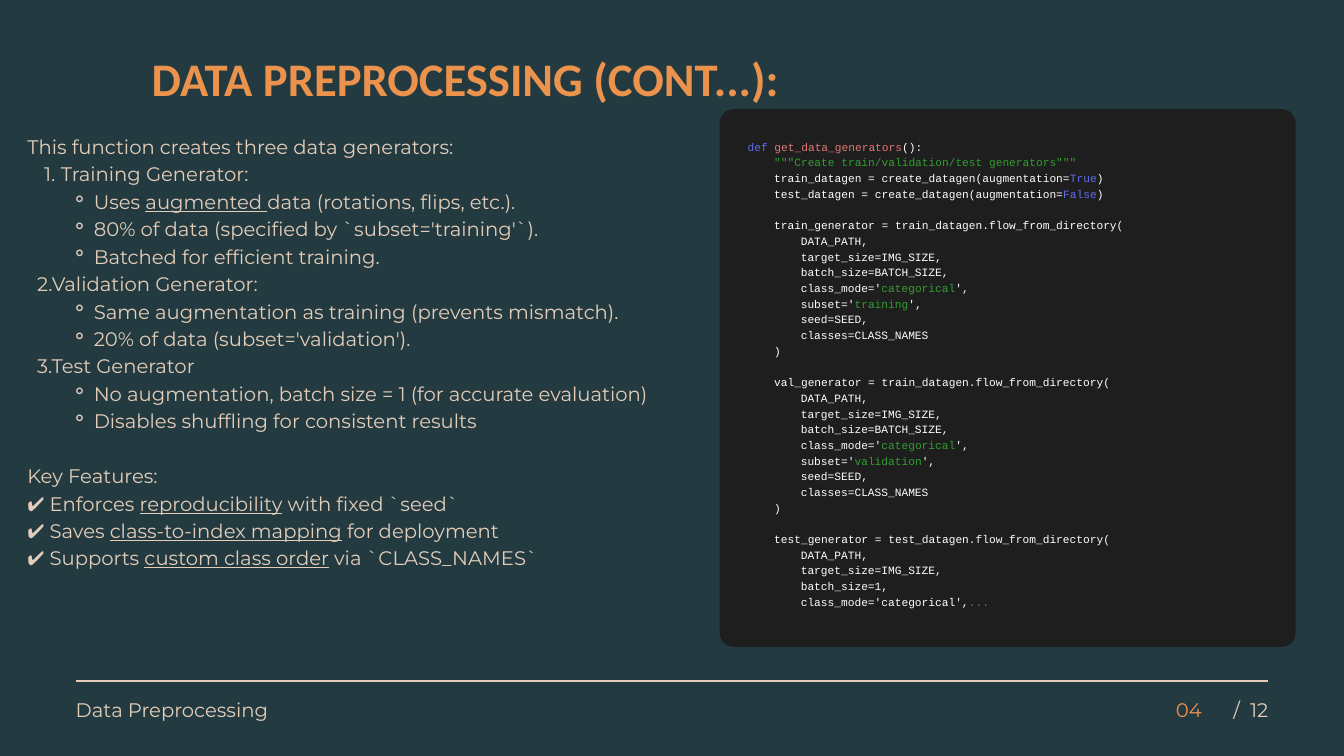
import pptx
import pptx.util
import pptx.dml.color
import pptx.enum.shapes
import pptx.enum.text
import pptx.oxml.ns
import lxml.etree

PX = 9525  # EMU per px, 1920 x 1080 px page
COLORS = {
    "background": "243A41", "panel": "1E1E1E", "sand": "E2CDB8",
    "orange": "EB924D", "white": "FFFFFF", "blue": "5F6DF0",
    "red": "E27676", "green": "329E30", "grey": "7E6B6B",
}
ALIGN = pptx.enum.text.PP_ALIGN


def rgb(name):
    return pptx.dml.color.RGBColor.from_string(COLORS[name])


def write(box, place, lines, font, size, color, leading, align=ALIGN.LEFT, bold=False):
    """Each line is (spans, margin px, hang px, bullet, space before); a span is (text, style)."""
    box.left, box.top, box.width, box.height = (n * PX for n in place)
    frame = box.text_frame
    frame.word_wrap = True
    frame.auto_size = pptx.enum.text.MSO_AUTO_SIZE.NONE
    frame.vertical_anchor = pptx.enum.text.MSO_ANCHOR.TOP
    frame.margin_left = frame.margin_top = frame.margin_right = frame.margin_bottom = 0
    for index, (spans, margin, hang, bullet, gap) in enumerate(lines):
        para = frame.add_paragraph() if index else frame.paragraphs[0]
        para.alignment = align
        para.line_spacing = pptx.util.Pt(leading)
        para.space_before = pptx.util.Pt(gap)
        para.font.name, para.font.size, para.font.bold = font, pptx.util.Pt(size), bold
        para.font.color.rgb = rgb(color)
        properties = para._p.get_or_add_pPr()
        properties.set("marL", str(margin * PX))
        properties.set("indent", str(-hang * PX))
        if bullet:
            tag, key = ("buAutoNum", "type") if bullet == "arabicPeriod" else ("buChar", "char")
            mark = lxml.etree.Element(pptx.oxml.ns.qn("a:" + tag))
            mark.set(key, bullet)
            properties.find(pptx.oxml.ns.qn("a:defRPr")).addprevious(mark)
        for text, style in spans:
            span = para.add_run()
            span.text = text
            if style == "underline":
                span.font.underline = True
            elif style:
                span.font.color.rgb = rgb(style)


deck = pptx.Presentation()
deck.slide_width, deck.slide_height = 1920 * PX, 1080 * PX
page = deck.slides.add_slide(deck.slide_layouts[5])
page.background.fill.solid()
page.background.fill.fore_color.rgb = rgb("background")

# Title
write(page.shapes.title, (81, 58, 1168, 90),
      [([("DATA PREPROCESSING (CONT...):", None)], 0, 0, None, 0)],
      "Calibri", 50, "orange", 70, ALIGN.CENTER, True)

# Footer rule and texts
rule = page.shapes.add_connector(
    pptx.enum.shapes.MSO_CONNECTOR.STRAIGHT, 108 * PX, 973 * PX, 1812 * PX, 973 * PX)
rule.line.color.rgb = rgb("sand")
rule.line.width = pptx.util.Pt(1.5)
lxml.etree.SubElement(rule._element.spPr, pptx.oxml.ns.qn("a:effectLst"))

for text, left, width, color, align in [
    ("Data Preprocessing", 108, 397, "sand", ALIGN.LEFT),
    ("/  12", 1718, 94, "sand", ALIGN.RIGHT),
    ("04", 1626, 91, "orange", ALIGN.RIGHT),
]:
    write(page.shapes.add_textbox(0, 0, 0, 0), (left, 991, width, 38),
          [([(text, None)], 0, 0, None, 0)], "Montserrat", 21, color, 29.4, align)

# Code panel
panel = page.shapes.add_shape(
    pptx.enum.shapes.MSO_SHAPE.ROUNDED_RECTANGLE, 1028 * PX, 156 * PX, 823 * PX, 768 * PX)
panel.adjustments[0] = 20 / 768
panel.shadow.inherit = False
panel.fill.solid()
panel.fill.fore_color.rgb = rgb("panel")
panel.line.fill.background()

# Code: (indent level, blank line above, spans)
code = [
    (0, False, [("def ", "blue"), ("get_data_generators", "red"), ("():", None)]),
    (1, False, [('"""Create train/validation/test generators"""', "green")]),
]
for name, flag in [("train", "True"), ("test", "False")]:
    code.append((1, False, [(f"{name}_datagen = create_datagen(augmentation=", None),
                            (flag, "blue"), (")", None)]))
for name, source, batch, subset in [
    ("train", "train", "BATCH_SIZE", "training"),
    ("val", "train", "BATCH_SIZE", "validation"),
    ("test", "test", "1", None),
]:
    code.append((1, True, [(f"{name}_generator = {source}_datagen.flow_from_directory(", None)]))
    for argument in ["DATA_PATH,", "target_size=IMG_SIZE,", f"batch_size={batch},"]:
        code.append((2, False, [(argument, None)]))
    if subset:
        for key, value in [("class_mode", "categorical"), ("subset", subset)]:
            code.append((2, False, [(f"{key}='", None), (value, "green"), ("',", None)]))
        for argument in ["seed=SEED,", "classes=CLASS_NAMES"]:
            code.append((2, False, [(argument, None)]))
        code.append((1, False, [(")", None)]))
    else:
        code.append((2, False, [("class_mode='categorical',", None), ("...", "grey")]))

INDENT = 38  # four characters of 12 pt Courier New
write(page.shapes.add_textbox(0, 0, 0, 0), (1068, 197, 736, 681),
      [(spans, level * INDENT, 0, None, 16.8 if blank else 0) for level, blank, spans in code],
      "Courier New", 12, "white", 16.8)

# Explanation: margin, hang, bullet and space before for each kind of line
KINDS = {
    "plain": (0, 0, None, 0),
    "number": (48, 24, "arabicPeriod", 0),
    "typed number": (14, 0, None, 0),
    "point": (95, 32, "⚬", 0),
    "section": (0, 0, None, 29.4),
}
notes = [
    ("plain", [("This function creates three data generators:", None)]),
    ("number", [("Training Generator:", None)]),
    ("point", [("Uses ", None), ("augmented ", "underline"),
               ("data (rotations, flips, etc.).", None)]),
    ("point", [("80% of data (specified by `subset='training'`).", None)]),
    ("point", [("Batched for efficient training.", None)]),
    ("typed number", [("2.Validation Generator:", None)]),
    ("point", [("Same augmentation as training (prevents mismatch).", None)]),
    ("point", [("20% of data (subset='validation').", None)]),
    ("typed number", [("3.Test Generator", None)]),
    ("point", [("No augmentation, batch size = 1 (for accurate evaluation)", None)]),
    ("point", [("Disables shuffling for consistent results", None)]),
    ("section", [("Key Features:", None)]),
]
for verb, feature, rest in [
    ("Enforces", "reproducibility", "with fixed `seed`"),
    ("Saves", "class-to-index mapping", "for deployment"),
    ("Supports", "custom class order", "via `CLASS_NAMES`"),
]:
    notes.append(("plain", [(f"✔️ {verb} ", None), (feature, "underline"), (f" {rest}", None)]))
write(page.shapes.add_textbox(0, 0, 0, 0), (39, 187, 990, 702),
      [(spans, *KINDS[kind]) for kind, spans in notes],
      "Montserrat", 21, "sand", 29.4)

deck.save("out.pptx")
